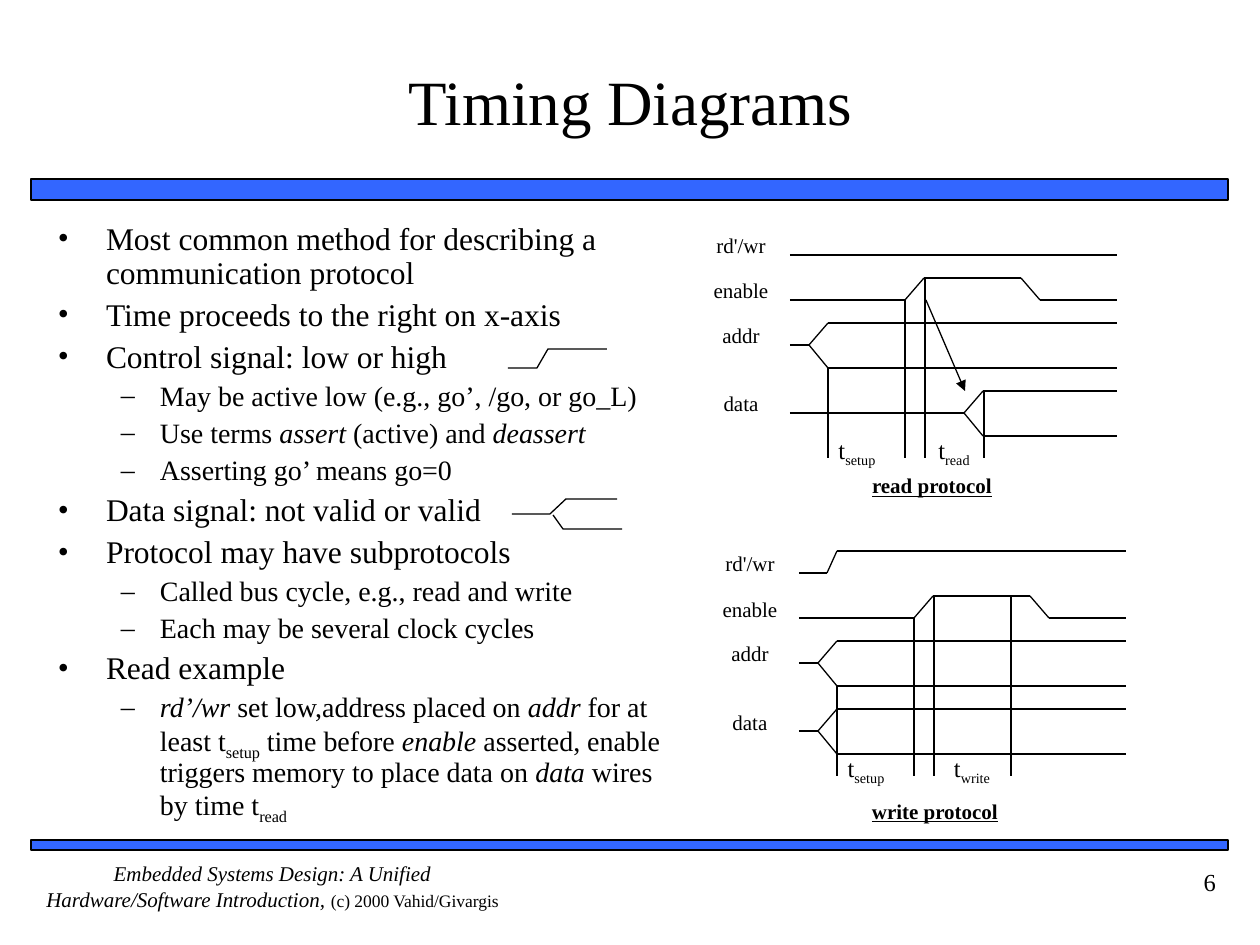
import itertools

import pptx
import pptx.dml.color
import pptx.enum.shapes
import pptx.enum.text
import pptx.oxml.ns
import pptx.util
from lxml import etree

ALIGN = pptx.enum.text.PP_ALIGN
ANCHOR = pptx.enum.text.MSO_ANCHOR
SCALE = 914400 / 126


def px(length):
    return pptx.util.Emu(round(length * SCALE))


def color(value):
    return pptx.dml.color.RGBColor.from_string(value)


def add_element(parent, tag, **attributes):
    return etree.SubElement(parent, pptx.oxml.ns.qn(tag), **attributes)


class TimingSlide:
    font = "Times New Roman"
    ink = "000000"
    accent = "3366FF"
    line_width = 0.75
    bullets = [("•", 48, -48, 18, 4.5), ("–", 102, -39, 16, 4)]

    def __init__(self, presentation):
        self.slide = presentation.slides.add_slide(presentation.slide_layouts[1])

    def runs(self, paragraph, parts, size):
        for part in parts:
            text, style, run_size = part + ("", size)[len(part) - 1:]
            run = paragraph.add_run()
            run.text = text
            run.font.name = self.font
            run.font.size = pptx.util.Pt(run_size)
            run.font.color.rgb = color(self.ink)
            run.font.bold = "b" in style
            run.font.italic = "i" in style
            run.font.underline = "u" in style
            if "s" in style:
                run._r.get_or_add_rPr().set("baseline", "-25000")

    def frame(self, shape, box, margins=(0, 0), anchor=ANCHOR.TOP):
        shape.left, shape.top, shape.width, shape.height = map(px, box)
        frame = shape.text_frame
        frame.word_wrap = True
        frame.auto_size = pptx.enum.text.MSO_AUTO_SIZE.NONE
        frame.vertical_anchor = anchor
        frame.margin_left = frame.margin_right = px(margins[0])
        frame.margin_top = frame.margin_bottom = px(margins[1])
        return frame

    def title(self, box, text):
        frame = self.frame(self.slide.shapes.title, box, (0, 6), ANCHOR.MIDDLE)
        frame.paragraphs[0].alignment = ALIGN.CENTER
        self.runs(frame.paragraphs[0], [(text,)], 36)

    def body(self, box, items):
        frame = self.frame(self.slide.placeholders[1], box, (13, 6))
        for index, (level, *parts) in enumerate(items):
            paragraph = frame.add_paragraph() if index else frame.paragraphs[0]
            symbol, margin, indent, size, space = self.bullets[level]
            paragraph.level = level
            properties = paragraph._p.get_or_add_pPr()
            properties.set("marL", str(px(margin)))
            properties.set("indent", str(px(indent)))
            bullet_color = add_element(properties, "a:buClr")
            add_element(bullet_color, "a:srgbClr", val=self.ink)
            add_element(properties, "a:buFont", typeface=self.font)
            add_element(properties, "a:buChar", char=symbol)
            paragraph.line_spacing = 0.9
            paragraph.space_before = pptx.util.Pt(space if index else 0)
            self.runs(paragraph, parts, size)

    def text(self, box, parts, size=12, align=ALIGN.CENTER, margins=(0, 0)):
        frame = self.frame(self.slide.shapes.add_textbox(0, 0, 0, 0), box, margins)
        frame.paragraphs[0].alignment = align
        self.runs(frame.paragraphs[0], parts, size)

    def bar(self, box):
        shape = self.slide.shapes.add_shape(
            pptx.enum.shapes.MSO_SHAPE.RECTANGLE, *map(px, box))
        shape.shadow.inherit = False
        shape.fill.solid()
        shape.fill.fore_color.rgb = color(self.accent)
        self.stroke(shape, 1)

    def stroke(self, shape, width):
        shape.line.color.rgb = color(self.ink)
        shape.line.width = pptx.util.Pt(width)

    def line(self, start, end, arrow=False):
        connector = self.slide.shapes.add_connector(
            pptx.enum.shapes.MSO_CONNECTOR.STRAIGHT, *map(px, (*start, *end)))
        self.stroke(connector, self.line_width)
        add_element(connector._element.spPr, "a:effectLst")
        if arrow:
            add_element(connector.line._get_or_add_ln(), "a:tailEnd", type="triangle")

    def trace(self, origin, points):
        placed = [(origin[0] + x, origin[1] + y) for x, y in points]
        for start, end in itertools.pairwise(placed):
            self.line(start, end)

    def outline(self, points):
        builder = self.slide.shapes.build_freeform(*points[0], scale=SCALE)
        builder.add_line_segments(points[1:], close=False)
        shape = builder.convert_to_shape()
        shape.shadow.inherit = False
        shape.fill.background()
        self.stroke(shape, self.line_width)

    def bus(self, origin, middle, split):
        self.trace(origin, [(0, middle), (split, middle)])
        for edge in (middle - 22, middle + 23):
            self.trace(origin, [(split, middle), (split + 19, edge), (327, edge)])

    def protocol(self, origin, name, caption, direction, data_split, last_marker, time_left):
        left, top = origin
        for label, offset in (("rd'/wr", 0), ("enable", 45), ("addr", 90), ("data", 158)):
            self.text((left - 97, top + offset, 96, 45), [(label,)])
        self.trace(origin, direction)
        self.trace(origin, [(0, 67), (115, 67), (134, 45), (231, 45), (250, 67), (327, 67)])
        self.bus(origin, 112, 19)
        self.bus(origin, 180, data_split)
        for x, y in ((38, 135), (115, 67), (135, 45), last_marker):
            self.trace(origin, [(x, y), (x, 225)])
        for offset, subscript in ((19, "setup"), (time_left, name)):
            self.text((left + offset, top + 202, 96, 45), [("t",), (subscript, "s")], 14)
        self.text((left + caption[0], top + caption[1], 196, 34), [(f"{name} protocol", "bu")])


def main():
    presentation = pptx.Presentation()
    presentation.slide_width, presentation.slide_height = px(1260), px(945)
    page = TimingSlide(presentation)

    page.bar((31, 179, 1197, 21))
    page.bar((31, 840, 1197, 10))
    page.text((31, 861, 483, 63), [
        ("Embedded Systems Design: A Unified Hardware/Software Introduction, ", "i"),
        ("(c) 2000 Vahid/Givargis", "", 10)])
    page.title((53, 21, 1155, 158), "Timing Diagrams")
    page.body((45, 217, 643, 612), [
        (0, ("Most common method for describing a communication protocol",)),
        (0, ("Time proceeds to the right on x-axis",)),
        (0, ("Control signal: low or high",)),
        (1, ("May be active low (e.g., go’, /go, or go_L)",)),
        (1, ("Use terms ",), ("assert", "i"), (" (active) and ",), ("deassert", "i")),
        (1, ("Asserting go’ means go=0",)),
        (0, ("Data signal: not valid or valid",)),
        (0, ("Protocol may have subprotocols",)),
        (1, ("Called bus cycle, e.g., read and write",)),
        (1, ("Each may be several clock cycles",)),
        (0, ("Read example",)),
        (1, ("rd’/wr", "i"), (" set low,address placed on ",), ("addr", "i"),
         (" for at least t",), ("setup", "s"), (" time before ",), ("enable", "i"),
         (" asserted, enable triggers memory to place data on ",), ("data", "i"),
         (" wires by time t",), ("read", "s")),
    ])

    page.protocol((790, 233), "read", (44, 240), [(0, 22), (327, 22)], 174, (194, 158), 116)
    page.line((926, 300), (965, 391), arrow=True)
    page.protocol((799, 551), "write", (38, 247),
                  [(0, 22), (28, 22), (38, 0), (327, 0)], 19, (212, 45), 125)

    page.outline([(508, 368), (537, 368), (548, 349), (607, 349)])
    page.outline([(512, 514), (550, 514), (566, 499), (617, 499)])
    page.outline([(553, 515), (563, 529), (622, 529)])
    page.text((1103, 861, 126, 63), [("6",)], 14, ALIGN.RIGHT, (13, 6))

    presentation.save("out.pptx")


if __name__ == "__main__":
    main()
